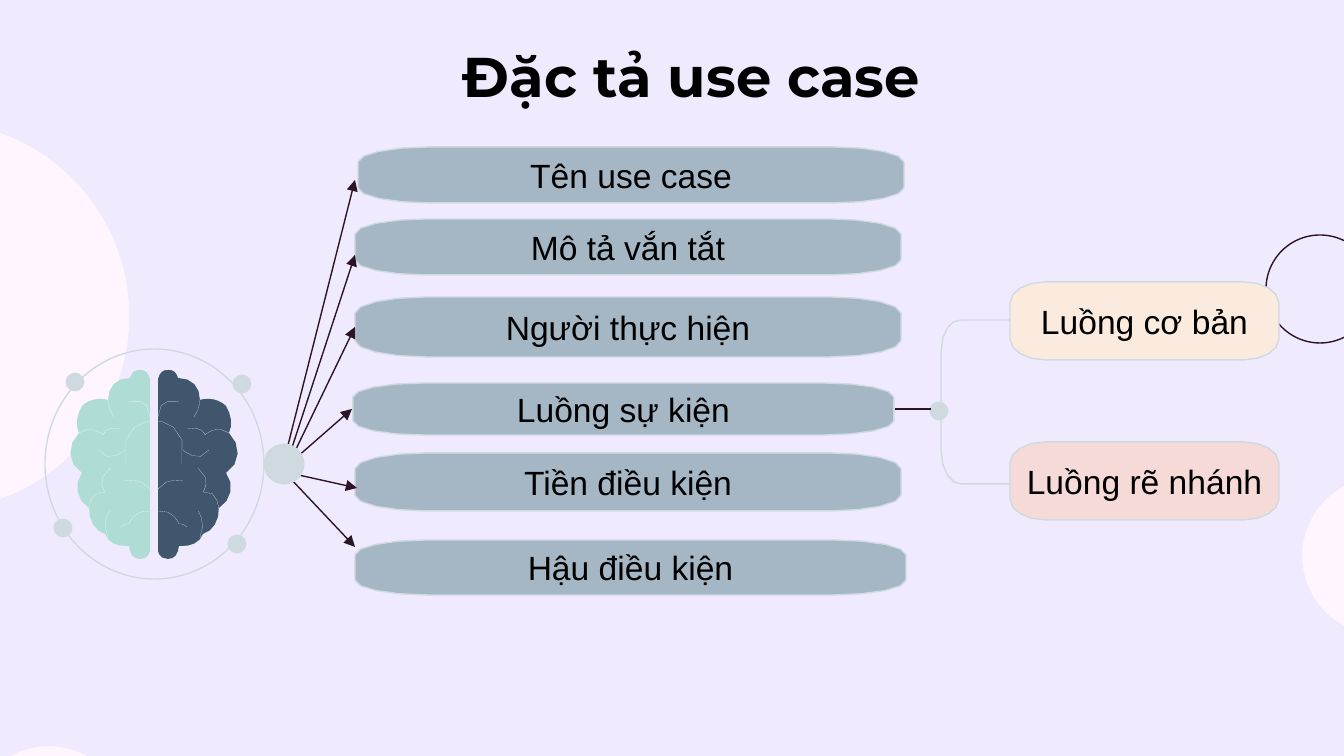
from dataclasses import dataclass

from lxml import etree
from pptx import Presentation
from pptx import util as u
from pptx.dml.color import RGBColor
from pptx.enum import shapes, text
from pptx.oxml.ns import qn


@dataclass(frozen=True)
class Theme:
    ground: str = "F0EAFE"
    blush: str = "FFF5FE"
    ink: str = "2C1325"
    text: str = "000000"
    mist: str = "CFD9E0"
    bar: str = "A5B7C5"
    cream: str = "FBEBDE"
    rose: str = "F6DAD8"
    mint: str = "AFDDD5"
    navy: str = "40566D"
    fold: str = "FFFFFF"
    title_font: str = "Montserrat"
    body_font: str = "Arial"
    title_size: float = 30
    body_size: float = 18
    stroke: float = 0.75
    fold_stroke: float = 0.06


THEME = Theme()
EMU_PER_PX = 914400 / 134.4
SLIDE = (1344, 756)

TITLE = ("Đặc tả use case", (125, 28, 1133, 85))

# label, box (left, top, width, height), arrow start, arrow end
PARTS = [
    ("Tên use case", (358, 147, 546, 56), (282, 469), (355, 180)),
    ("Mô tả vắn tắt", (355, 219, 546, 56), (285, 469), (355, 255)),
    ("Người thực hiện", (355, 297, 546, 60), (284, 474), (355, 327)),
    ("Luồng sự kiện", (353, 383, 541, 52), (280, 472), (352, 409)),
    ("Tiền điều kiện", (355, 453, 546, 58), (285, 472), (357, 488)),
    ("Hậu điều kiện", (355, 540, 551, 55), (289, 477), (355, 547)),
]
FLOWS = [
    ("Luồng cơ bản", (1010, 282, 269, 78), THEME.cream),
    ("Luồng rẽ nhánh", (1010, 442, 269, 78), THEME.rose),
]
FLOW_LINK = ((895, 409), (931, 409))

# centre x, centre y, diameter
BLUSH_CIRCLES = [(49, 825, 156), (1381, 556, 156), (-65, 316, 387)]
RING = (1320, 289, 108)
FLOW_DOT = (939, 411, 19)
HUB = (284, 464, 41)
ORBIT_DOTS = [(75, 382, 19), (242, 384, 19), (63, 528, 19), (237, 544, 19)]
ORBIT = (45, 349, 219, 230)

# Bezier paths: a start point, then two handles and an end point per curve
BRACKET = [
    (1010, 484), (1010, 484), (961, 484), (961, 484),
    (952, 484), (941, 473), (941, 449), (941, 449), (941, 355), (941, 355),
    (941, 329), (951, 320), (961, 320), (961, 320), (1010, 320), (1010, 320),
]
BRAIN_AXIS = 154
BRAIN_HALF = [
    (140, 370), (134, 370), (132, 372), (130, 378),
    (116, 378), (108, 387), (108, 400), (105, 399), (102, 399), (98, 399),
    (93, 399), (86, 402), (82, 406), (77, 414), (75, 425), (79, 433),
    (67, 444), (67, 464), (82, 473), (73, 484), (77, 501), (89, 508),
    (89, 521), (95, 531), (105, 534), (108, 542), (116, 547), (129, 546),
    (130, 554), (133, 559), (140, 559), (150, 559), (150, 550), (150, 550),
    (150, 550), (150, 379), (150, 379), (148, 372), (145, 370), (140, 370),
]
BRAIN_FOLDS = [
    [(150, 421), (150, 421), (117, 423), (126, 464)],
    [(129, 402), (129, 402), (150, 395), (150, 417)],
    [(108, 399), (108, 399), (108, 409), (114, 417)],
    [(79, 433), (91, 423), (103, 435), (103, 435), (103, 435), (105, 425), (121, 429)],
    [(89, 511), (89, 511), (89, 489), (105, 492), (105, 492), (95, 480), (110, 468)],
    [(110, 511), (110, 511), (101, 521), (108, 538)],
    [(150, 511), (134, 509), (129, 524), (129, 524), (129, 524), (125, 523), (121, 527)],
    [(125, 450), (125, 450), (109, 465), (99, 450)],
    [(125, 481), (125, 481), (140, 476), (150, 489)],
]


def px(*lengths):
    return [u.Emu(round(length * EMU_PER_PX)) for length in lengths]


def paint(shape, fill=None, line=None, width=THEME.stroke):
    shape.shadow.inherit = False
    for part, colour in ((shape.fill, fill), (shape.line.fill, line)):
        if colour:
            part.solid()
            part.fore_color.rgb = RGBColor.from_string(colour)
        else:
            part.background()
    if line:
        shape.line.width = u.Pt(width)


def write(shape, label, font, size, bold=False, anchor=text.MSO_ANCHOR.MIDDLE):
    frame = shape.text_frame
    frame.word_wrap = True
    frame.vertical_anchor = anchor
    frame.margin_left = frame.margin_right = u.Inches(0.1)
    frame.margin_top = frame.margin_bottom = u.Inches(0.1)
    line = frame.paragraphs[0]
    line.text = label
    line.alignment = text.PP_ALIGN.CENTER
    line.font.name, line.font.size, line.font.bold = font, u.Pt(size), bold
    line.font.color.rgb = RGBColor.from_string(THEME.text)


def ellipse(slide, box, **look):
    paint(slide.shapes.add_shape(shapes.MSO_SHAPE.OVAL, *px(*box)), **look)


def circle(slide, x, y, size, **look):
    ellipse(slide, (x - size / 2, y - size / 2, size, size), **look)


def flatten(path):
    """Turn a Bezier path into points along it, with one step for a straight part."""
    points = [path[0]]
    for i in range(0, len(path) - 1, 3):
        curve = path[i:i + 4]
        straight = curve[0] == curve[1] and curve[2] == curve[3]
        steps = 1 if straight else 4
        for step in range(1, steps + 1):
            t = step / steps
            weights = ((1 - t) ** 3, 3 * t * (1 - t) ** 2, 3 * t * t * (1 - t), t ** 3)
            points.append(tuple(sum(w * p[axis] for w, p in zip(weights, curve))
                                for axis in (0, 1)))
    return points


def outline(slide, paths, closed=False, **look):
    builder = None
    for path in paths:
        start, *rest = [px(*point) for point in flatten(path)]
        if builder:
            builder.move_to(*start)
        else:
            builder = slide.shapes.build_freeform(*start, scale=1.0)
        builder.add_line_segments(rest, close=closed)
    shape = builder.convert_to_shape()
    paint(shape, **look)
    return shape


def label_box(slide, label, box, fill):
    """Draw a box whose corners are quarter ellipses in proportion to its sides."""
    left, top, width, height = box
    right, bottom = left + width, top + height
    rx, ry = 0.13 * width, 0.27 * height
    path = [(left + rx, top)]
    for corner, before, after in (
        ((left, top), (left + rx, top), (left, top + ry)),
        ((left, bottom), (left, bottom - ry), (left + rx, bottom)),
        ((right, bottom), (right - rx, bottom), (right, bottom - ry)),
        ((right, top), (right, top + ry), (right - rx, top)),
    ):
        handles = [tuple(p + 0.55 * (c - p) for p, c in zip(end, corner))
                   for end in (before, after)]
        if path[-1] != before:
            path += [path[-1], before, before]
        path += [*handles, after]
    shape = outline(slide, [path], closed=True, fill=fill, line=THEME.mist)
    write(shape, label, THEME.body_font, THEME.body_size)


def connect(slide, start, end, arrow=False):
    link = slide.shapes.add_connector(shapes.MSO_CONNECTOR.STRAIGHT, *px(*start, *end))
    link.line.color.rgb = RGBColor.from_string(THEME.ink)
    link.line.width = u.Pt(THEME.stroke)
    if arrow:
        etree.SubElement(link.line._get_or_add_ln(), qn("a:tailEnd"), type="triangle")
    etree.SubElement(link._element.spPr, qn("a:effectLst"))


def mirror(path):
    return [(2 * BRAIN_AXIS - x, y) for x, y in path]


def brain(slide):
    for side, colour in ((list, THEME.mint), (mirror, THEME.navy)):
        outline(slide, [side(BRAIN_HALF)], closed=True, fill=colour)
        outline(slide, map(side, BRAIN_FOLDS), line=THEME.fold, width=THEME.fold_stroke)
    ellipse(slide, ORBIT, line=THEME.mist)
    for dot in (*ORBIT_DOTS, HUB):
        circle(slide, *dot, fill=THEME.mist)


def main():
    deck = Presentation()
    deck.slide_width, deck.slide_height = px(*SLIDE)
    slide = deck.slides.add_slide(deck.slide_layouts[6])
    slide.background.fill.solid()
    slide.background.fill.fore_color.rgb = RGBColor.from_string(THEME.ground)

    for spot in BLUSH_CIRCLES:
        circle(slide, *spot, fill=THEME.blush, line=THEME.blush)
    circle(slide, *RING, line=THEME.ink)

    heading, box = TITLE
    write(slide.shapes.add_textbox(*px(*box)), heading, THEME.title_font,
          THEME.title_size, bold=True, anchor=text.MSO_ANCHOR.TOP)

    circle(slide, *FLOW_DOT, fill=THEME.mist)
    outline(slide, [BRACKET], line=THEME.mist)
    for label, box, colour in FLOWS:
        label_box(slide, label, box, colour)
    for label, box, _, _ in PARTS:
        label_box(slide, label, box, THEME.bar)
    connect(slide, *FLOW_LINK)
    for _, _, start, end in PARTS:
        connect(slide, start, end, arrow=True)
    brain(slide)
    deck.save("out.pptx")


if __name__ == "__main__":
    main()
